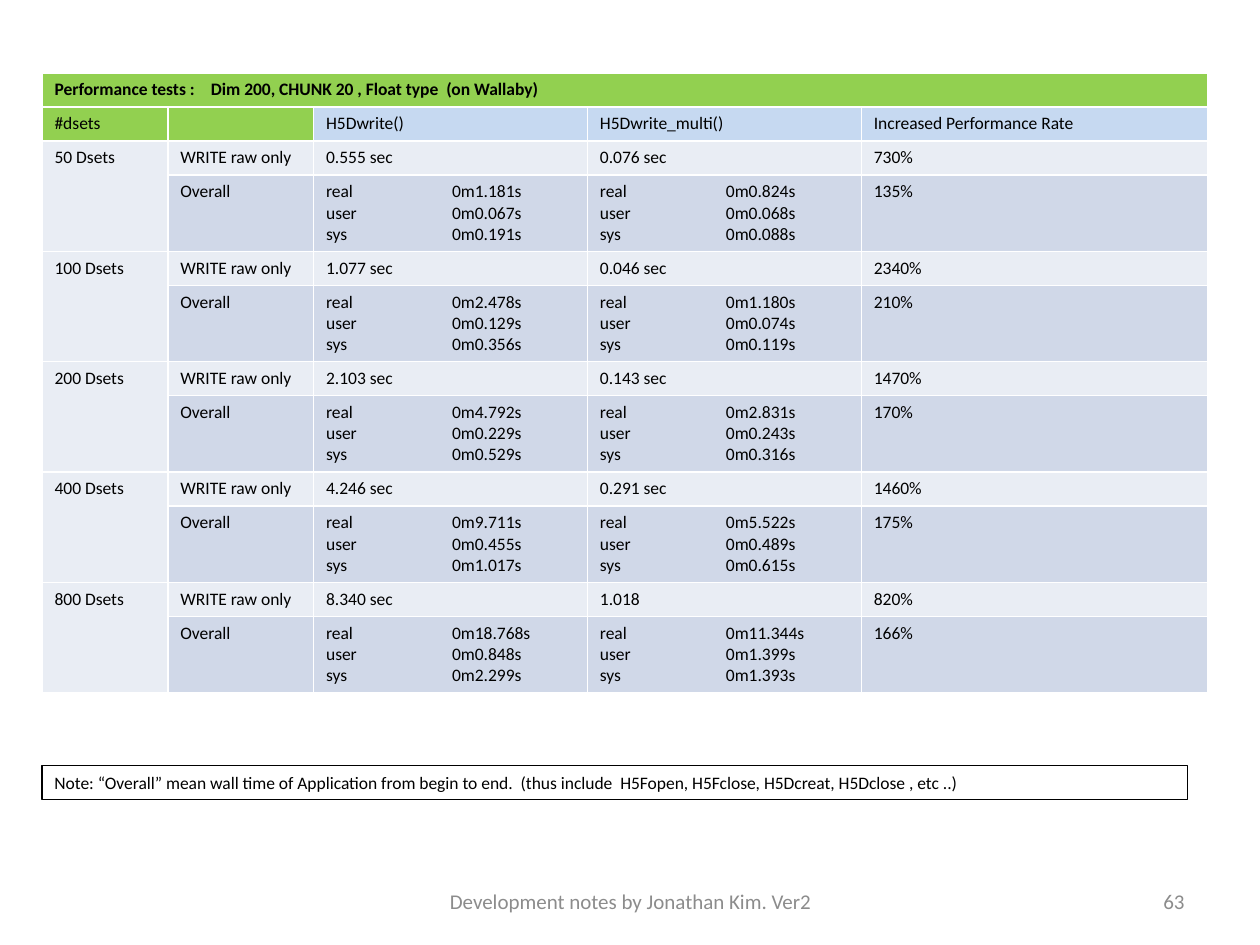
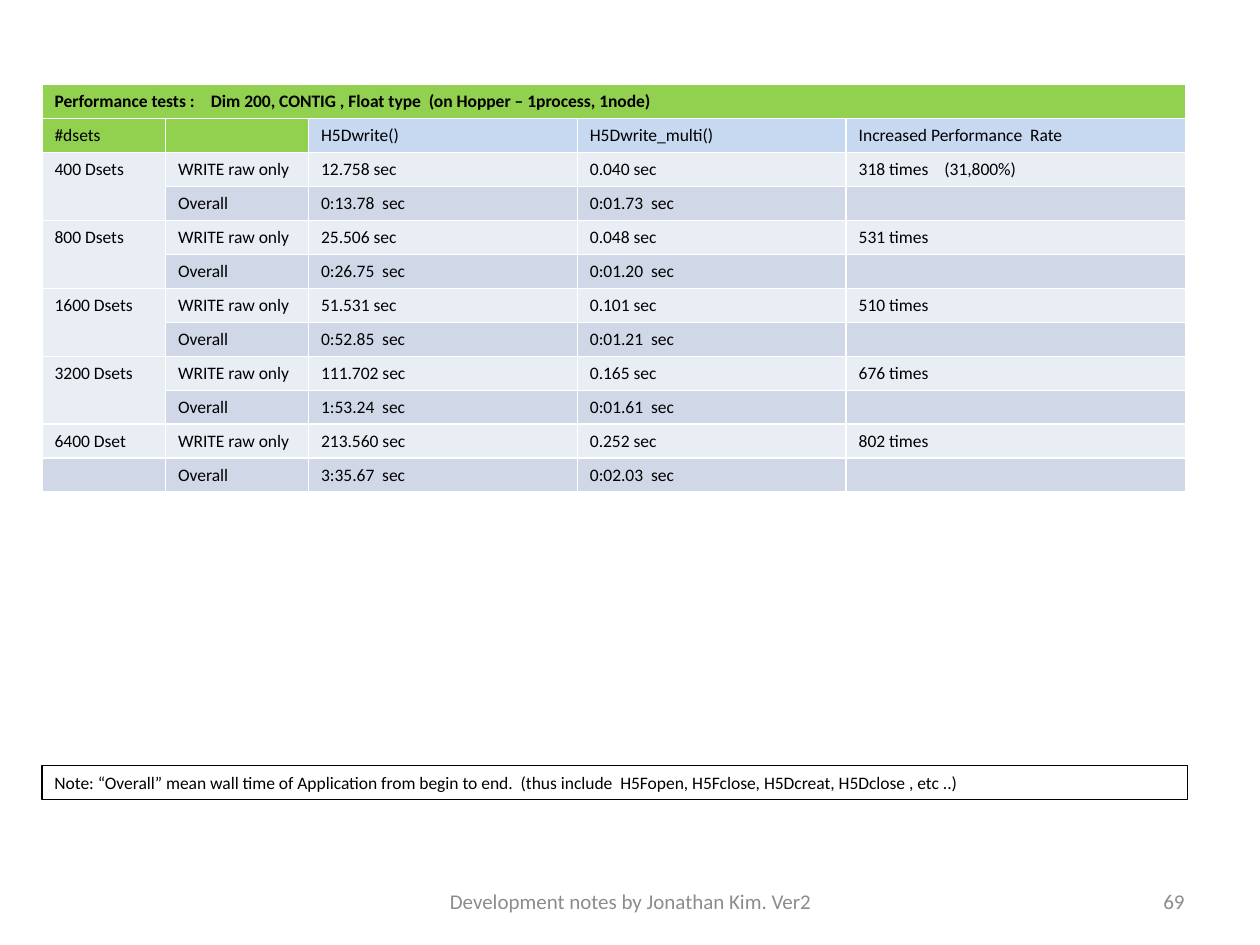
"""Build two slides that compare H5Dwrite() with H5Dwrite_multi() timings."""
from lxml import etree
from pptx import Presentation
from pptx import util as u
from pptx.dml.color import RGBColor
from pptx.enum import shapes, text
from pptx.oxml import ns

BLACK = RGBColor(0x00, 0x00, 0x00)
GREY = RGBColor(0x8C, 0x8C, 0x8C)
GREEN = RGBColor(0x92, 0xD0, 0x50)
SKY = RGBColor(0xC6, 0xD9, 0xF1)
PALE = RGBColor(0xE9, 0xED, 0xF4)
MIST = RGBColor(0xD0, 0xD8, 0xE8)

FONT = "Calibri"
NOTE = ("Note: “Overall” mean wall time of Application from begin to end.  "
        "(thus include  H5Fopen, H5Fclose, H5Dcreat, H5Dclose , etc ..)")
FOOTER = "Development notes by Jonathan Kim. Ver2"
COLUMN_SHARES = (0.108, 0.125, 0.235, 0.235, 0.297)
SHORT_ROW = u.Inches(0.27)
TALL_ROW = u.Inches(0.6)


def write(frame, content, size=10, color=BLACK, bold=False,
          align=text.PP_ALIGN.LEFT, tab=None):
    """Fill a text frame, one paragraph for each line of content."""
    for index, line in enumerate(content.split("\n")):
        para = frame.add_paragraph() if index else frame.paragraphs[0]
        para.alignment = align
        if tab:
            stops = etree.SubElement(para._p.get_or_add_pPr(), ns.qn("a:tabLst"))
            etree.SubElement(stops, ns.qn("a:tab"), pos=str(u.Inches(tab)), algn="l")
        if line:
            span = para.add_run()
            span.text = line
            span.font.name = FONT
            span.font.size = u.Pt(size)
            span.font.bold = bold
            span.font.color.rgb = color
        para._p.get_or_add_endParaRPr().set("sz", str(size * 100))


def clock(real, user, system):
    """Lay out the three lines of a time report."""
    return f"real\t0m{real}s\nuser\t0m{user}s\nsys\t0m{system}s"


CHUNK_TESTS = [
    ("50 Dsets", "0.555 sec", "0.076 sec", "730%",
     clock("1.181", "0.067", "0.191"), clock("0.824", "0.068", "0.088"), "135%"),
    ("100 Dsets", "1.077 sec", "0.046 sec", "2340%",
     clock("2.478", "0.129", "0.356"), clock("1.180", "0.074", "0.119"), "210%"),
    ("200 Dsets", "2.103 sec", "0.143 sec", "1470%",
     clock("4.792", "0.229", "0.529"), clock("2.831", "0.243", "0.316"), "170%"),
    ("400 Dsets", "4.246 sec", "0.291 sec", "1460%",
     clock("9.711", "0.455", "1.017"), clock("5.522", "0.489", "0.615"), "175%"),
    ("800 Dsets", "8.340 sec", "1.018", "820%",
     clock("18.768", "0.848", "2.299"), clock("11.344", "1.399", "1.393"), "166%"),
]
CONTIG_TESTS = [
    ("400 Dsets", "12.758 sec", "0.040 sec", "318 times\t(31,800%)",
     "0:13.78  sec", "0:01.73  sec", ""),
    ("800 Dsets", "25.506 sec", "0.048 sec", "531 times",
     "0:26.75  sec", "0:01.20  sec", ""),
    ("1600 Dsets", "51.531 sec", "0.101 sec", "510 times",
     "0:52.85  sec", "0:01.21  sec", ""),
    ("3200 Dsets", "111.702 sec", "0.165 sec", "676 times",
     "1:53.24  sec", "0:01.61  sec", ""),
    ("6400 Dset", "213.560 sec", "0.252 sec", "802 times",
     "3:35.67  sec", "0:02.03  sec", ""),
]
PAGES = [
    dict(number="63", top=0.58, width=0.925, overall_row=TALL_ROW, merged=5, tab=1,
         title="Performance tests :\tDim 200, CHUNK 20 , Float type  (on Wallaby)",
         rate="Increased Performance Rate", tests=CHUNK_TESTS),
    dict(number="69", top=0.67, width=0.908, overall_row=SHORT_ROW, merged=4, tab=0.68,
         title="Performance tests :\tDim 200, CONTIG , Float type  "
               "(on Hopper – 1process, 1node)",
         rate="Increased Performance  Rate", tests=CONTIG_TESTS),
]

deck = Presentation()
deck.slide_width, deck.slide_height = u.Inches(10), u.Inches(7.5)
WIDTH, HEIGHT = deck.slide_width, deck.slide_height
LEFT = WIDTH // 30

for spec_page in PAGES:
    page = deck.slides.add_slide(deck.slide_layouts[6])
    rows = [
        (spec_page["title"], "", "", "", ""),
        ("#dsets", "", "H5Dwrite()", "H5Dwrite_multi()", spec_page["rate"]),
    ]
    for dsets, single, multi, rate, all_single, all_multi, all_rate in spec_page["tests"]:
        rows.append((dsets, "WRITE raw only", single, multi, rate))
        rows.append(("", "Overall", all_single, all_multi, all_rate))

    table_width = int(WIDTH * spec_page["width"])
    table = page.shapes.add_table(
        len(rows), len(COLUMN_SHARES), LEFT, u.Inches(spec_page["top"]),
        table_width, SHORT_ROW * len(rows)).table
    table.horz_banding = False
    for column, share in zip(table.columns, COLUMN_SHARES):
        column.width = int(table_width * share)

    for r, row in enumerate(rows):
        is_overall = r > 1 and r % 2 == 1
        table.rows[r].height = spec_page["overall_row"] if is_overall else SHORT_ROW
        for c, content in enumerate(row):
            cell = table.cell(r, c)
            cell.fill.solid()
            if r == 0 or (r == 1 and c < 2):
                cell.fill.fore_color.rgb = GREEN
            elif r == 1:
                cell.fill.fore_color.rgb = SKY
            else:
                cell.fill.fore_color.rgb = MIST if is_overall else PALE
            tab = 1.24 if r == 0 else spec_page["tab"]
            write(cell.text_frame, content, bold=r == 0,
                  tab=tab if "\t" in content else None)

    table.cell(0, 0).merge(table.cell(0, len(COLUMN_SHARES) - 1))
    for group in range(spec_page["merged"]):
        first = 2 + 2 * group
        table.cell(first, 0).merge(table.cell(first + 1, 0))

    note = page.shapes.add_shape(
        shapes.MSO_SHAPE.RECTANGLE, LEFT, int(HEIGHT * 0.81),
        int(WIDTH * 0.909), SHORT_ROW)
    note.shadow.inherit = False
    note.fill.background()
    note.line.color.rgb = BLACK
    note.line.width = u.Pt(0.75)
    note.text_frame.word_wrap = True
    note.text_frame.vertical_anchor = text.MSO_ANCHOR.TOP
    write(note.text_frame, NOTE)

    for content, left, width, align in (
            (FOOTER, 0.342, 0.317, text.PP_ALIGN.CENTER),
            (spec_page["number"], 0.717, 0.233, text.PP_ALIGN.RIGHT)):
        box = page.shapes.add_textbox(
            int(WIDTH * left), int(HEIGHT * 0.927), int(WIDTH * width), u.Inches(0.4))
        box.text_frame.word_wrap = True
        box.text_frame.vertical_anchor = text.MSO_ANCHOR.MIDDLE
        write(box.text_frame, content, size=12, color=GREY, align=align)

deck.save("out.pptx")
